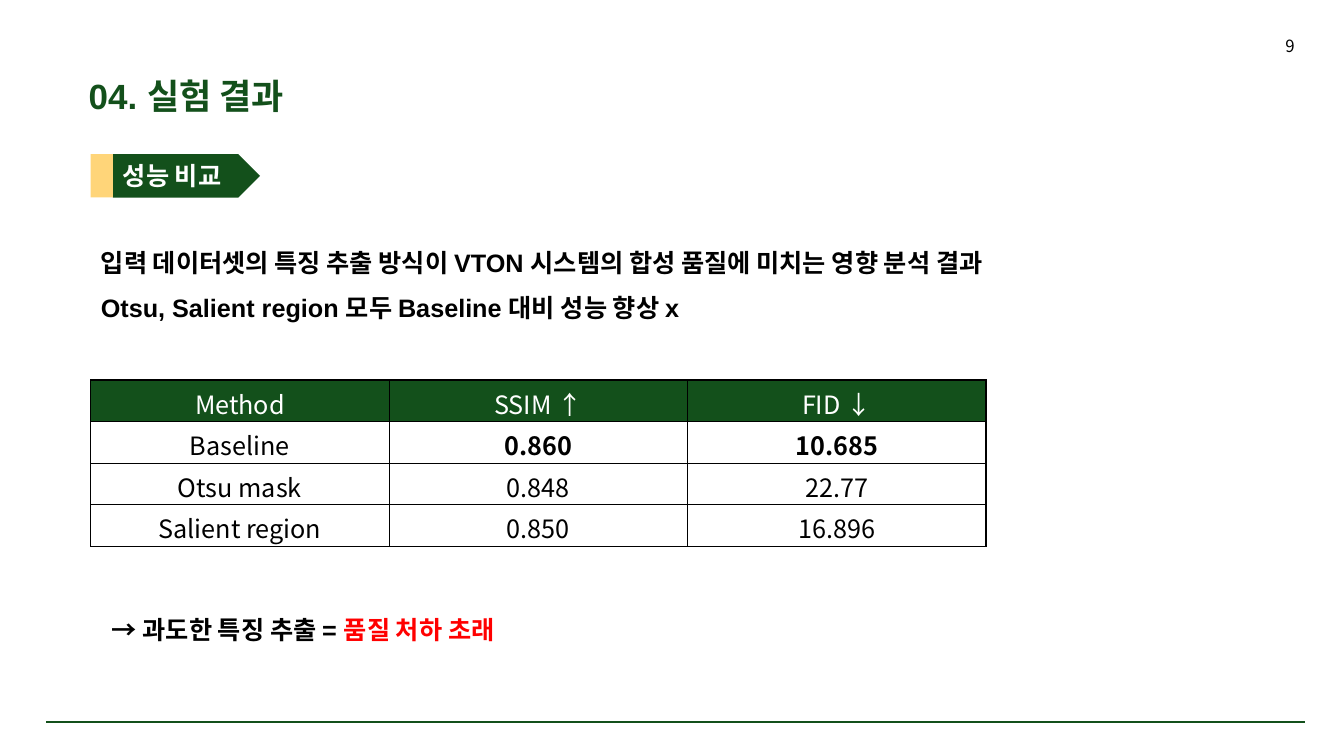
"""Build the slide that compares try-on results by feature extraction method."""
from lxml.etree import SubElement
from pptx import Presentation
from pptx.dml.color import RGBColor
from pptx.enum.shapes import MSO_CONNECTOR, MSO_SHAPE
from pptx.enum.text import MSO_ANCHOR, MSO_AUTO_SIZE, PP_ALIGN
from pptx.oxml.ns import qn
from pptx.util import Inches, Pt

COLORS = {"green": "13501B", "yellow": "FFD579", "black": "000000",
          "white": "FFFFFF", "red": "FF0000"}
LATIN, KOREAN = "Arial", "Noto Sans CJK KR"

TITLE = "04. 실험 결과"
SECTION = "성능 비교"
FINDINGS = ["입력 데이터셋의 특징 추출 방식이 VTON 시스템의 합성 품질에 미치는 영향 분석 결과",
            "Otsu, Salient region 모두 Baseline 대비 성능 향상 x"]
RESULTS = [("Method", "SSIM ↑", "FID ↓"),
           ("Baseline", "0.860", "10.685"),
           ("Otsu mask", "0.848", "22.77"),
           ("Salient region", "0.850", "16.896")]
BEST = {"0.860", "10.685"}
CONCLUSION = [("→ 과도한 특징 추출 = ", "black"), ("품질 처하 초래", "red")]
PAGE_NUMBER = "9"

LEFT = 0.9
COLUMN_WIDTH, ROW_HEIGHT = 2.96, 0.41
BADGE_TOP, BADGE_HEIGHT, TAB_WIDTH = 1.53, 0.43, 0.22


def color(name):
    return RGBColor.from_string(COLORS[name])


def place(shape, left, top, width, height):
    shape.left, shape.top = Inches(left), Inches(top)
    shape.width, shape.height = Inches(width), Inches(height)


def style(para, size, face, tint, bold=False, align=PP_ALIGN.LEFT, spacing=1.0):
    para.alignment = align
    para.line_spacing = spacing
    para.space_before = Pt(0)
    font = para.font
    font.size, font.name, font.bold = Pt(size), face, bold
    font.color.rgb = color(tint)


def add_text_box(page, left, top, width, height):
    frame = page.shapes.add_textbox(
        Inches(left), Inches(top), Inches(width), Inches(height)).text_frame
    frame.word_wrap = True
    return frame


def add_block(page, kind, left, width, fill):
    block = page.shapes.add_shape(kind, Inches(left), Inches(BADGE_TOP),
                                  Inches(width), Inches(BADGE_HEIGHT))
    block.shadow.inherit = False
    block.fill.solid()
    block.fill.fore_color.rgb = color(fill)
    block.line.fill.background()
    return block


def add_title(page):
    title = page.shapes.title
    place(title, 0.78, 0.69, 2.35, 0.52)
    frame = title.text_frame
    frame.text = TITLE
    frame.word_wrap = False
    frame.auto_size = MSO_AUTO_SIZE.NONE
    frame.vertical_anchor = MSO_ANCHOR.TOP
    style(frame.paragraphs[0], 25, LATIN, "green", True)


def add_badge(page):
    badge = add_block(page, MSO_SHAPE.PENTAGON, LEFT + TAB_WIDTH, 1.46, "green")
    frame = badge.text_frame
    frame.text = SECTION
    frame.vertical_anchor = MSO_ANCHOR.MIDDLE
    style(frame.paragraphs[0], 18, KOREAN, "white", True)
    add_block(page, MSO_SHAPE.RECTANGLE, LEFT, TAB_WIDTH, "yellow")


def add_findings(page):
    body = page.placeholders[1]
    place(body, LEFT, 2.28, 10.06, 0.95)
    frame = body.text_frame
    frame.text = "\n".join(FINDINGS)
    frame.word_wrap = True
    frame.auto_size = MSO_AUTO_SIZE.NONE
    frame.vertical_anchor = MSO_ANCHOR.MIDDLE
    for para in frame.paragraphs:
        properties = para._p.get_or_add_pPr()
        properties.set("marL", "0")
        properties.set("indent", "0")
        SubElement(properties, qn("a:buNone"))
        style(para, 18, LATIN, "black", True, spacing=1.5)


def add_borders(cell):
    properties = cell._tc.get_or_add_tcPr()
    for side in ("lnL", "lnR", "lnT", "lnB"):
        line = SubElement(properties, qn(f"a:{side}"), w=str(Pt(1)))
        fill = SubElement(line, qn("a:solidFill"))
        SubElement(fill, qn("a:srgbClr"), val=COLORS["black"])


def add_results(page):
    rows, columns = len(RESULTS), len(RESULTS[0])
    table = page.shapes.add_table(
        rows, columns, Inches(LEFT), Inches(3.77),
        Inches(COLUMN_WIDTH * columns), Inches(ROW_HEIGHT * rows)).table
    table.first_row = table.horz_banding = False
    for column in table.columns:
        column.width = Inches(COLUMN_WIDTH)
    for index, values in enumerate(RESULTS):
        table.rows[index].height = Inches(ROW_HEIGHT)
        fill, ink = ("white", "black") if index else ("green", "white")
        for position, value in enumerate(values):
            cell = table.cell(index, position)
            cell.text = value
            cell.margin_bottom = 0
            add_borders(cell)
            cell.fill.solid()
            cell.fill.fore_color.rgb = color(fill)
            style(cell.text_frame.paragraphs[0], 18, KOREAN, ink,
                  value in BEST, PP_ALIGN.CENTER)


def add_conclusion(page):
    para = add_text_box(page, 1.01, 5.9, 6.68, 0.5).paragraphs[0]
    style(para, 18, LATIN, "black", True, spacing=1.5)
    for text, tint in CONCLUSION:
        span = para.add_run()
        span.text = text
        span.font.color.rgb = color(tint)


def add_page_number(page):
    frame = add_text_box(page, 9.94, 0.25, 3, 0.4)
    frame.text = PAGE_NUMBER
    frame.vertical_anchor = MSO_ANCHOR.MIDDLE
    style(frame.paragraphs[0], 12, KOREAN, "black", align=PP_ALIGN.RIGHT)


def add_footer_line(page):
    rule = page.shapes.add_connector(MSO_CONNECTOR.STRAIGHT, Inches(0.46),
                                     Inches(7.16), Inches(12.94), Inches(7.16))
    rule.line.color.rgb = color("green")
    rule.line.width = Pt(1.5)
    SubElement(rule._element.spPr, qn("a:effectLst"))


def main():
    deck = Presentation()
    deck.slide_width, deck.slide_height = Inches(13.33), Inches(7.5)
    page = deck.slides.add_slide(deck.slide_layouts[1])
    for add_part in (add_title, add_badge, add_findings, add_results,
                     add_conclusion, add_page_number, add_footer_line):
        add_part(page)
    deck.save("out.pptx")


if __name__ == "__main__":
    main()
